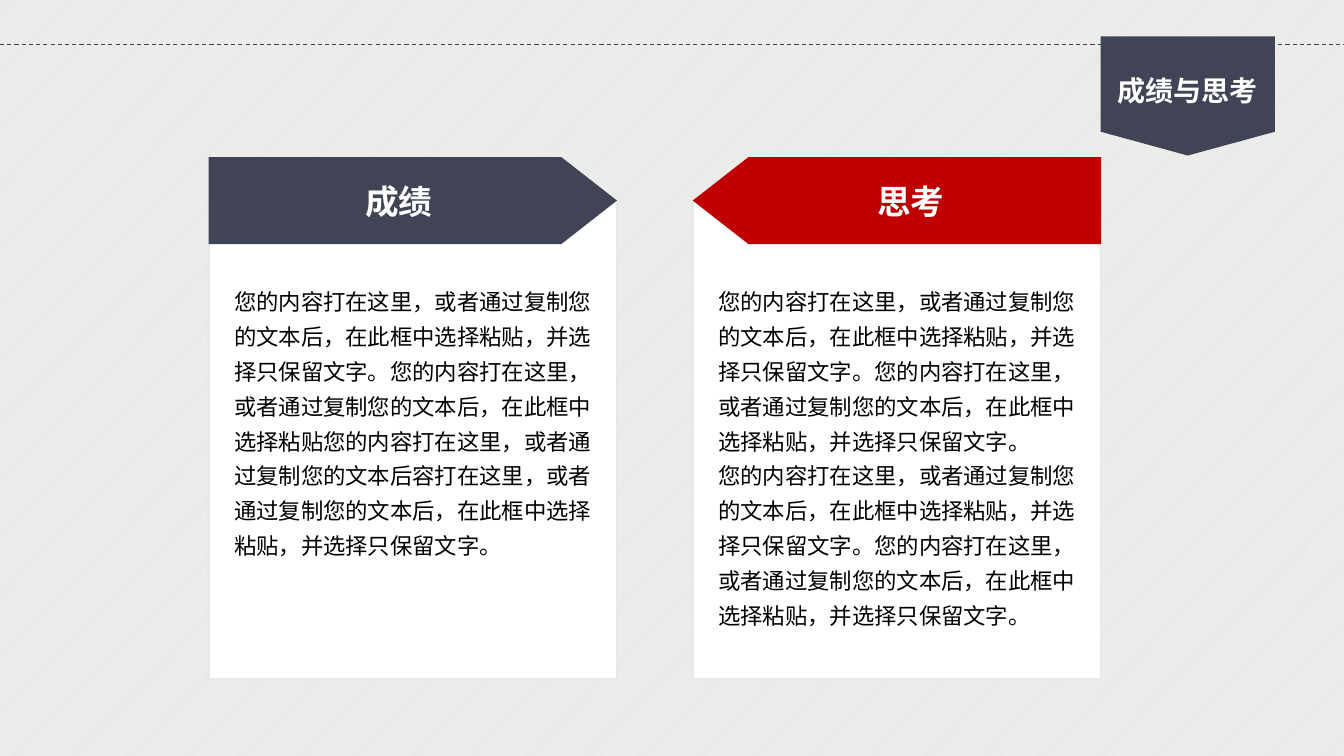
from dataclasses import dataclass
from lxml.etree import SubElement
from pptx import Presentation
from pptx.dml.color import RGBColor as RGB
from pptx.enum.dml import MSO_LINE as Dash, MSO_PATTERN as Pattern
from pptx.enum.shapes import MSO_CONNECTOR as Link, MSO_SHAPE as Shape
from pptx.enum.text import MSO_ANCHOR as Anchor, MSO_AUTO_SIZE as Fit, PP_ALIGN as Align
from pptx.oxml.ns import qn
from pptx.util import Cm, Pt


@dataclass
class Theme:
    font: str = "Noto Sans CJK SC"
    navy: RGB = RGB(0x41, 0x44, 0x55)
    red: RGB = RGB(0xC0, 0x00, 0x00)
    white: RGB = RGB(0xFF, 0xFF, 0xFF)
    black: RGB = RGB(0x00, 0x00, 0x00)
    gray: RGB = RGB(0xE8, 0xE8, 0xE6)
    title: int = 20
    head: int = 24
    body: int = 16


theme = Theme()

deck = Presentation()
deck.slide_width, deck.slide_height = Cm(33.87), Cm(19.05)
slide = deck.slides.add_slide(deck.slide_layouts[6])
shapes = slide.shapes


def add_block(kind, left, top, width, height, color):
    block = shapes.add_shape(kind, Cm(left), Cm(top), Cm(width), Cm(height))
    block.shadow.inherit = False
    block.fill.solid()
    block.fill.fore_color.rgb = color
    block.line.fill.background()
    return block


def set_text(frame, lines, size, color, bold=False, align=Align.LEFT, space=1.0):
    frame.text = "\n".join(lines)
    for para in frame.paragraphs:
        para.alignment = align
        para.line_spacing = space
        for run in para.runs:
            font = run.font
            font.name, font.size, font.bold = theme.font, Pt(size), bold
            font.color.rgb = color
            # East Asian glyphs take their own typeface
            SubElement(run._r.get_or_add_rPr(), qn("a:ea"), typeface=theme.font)


# Striped background
back = slide.background.fill
back.patterned()
back.pattern = Pattern.LIGHT_UPWARD_DIAGONAL
back.fore_color.rgb = theme.white
back.back_color.rgb = theme.gray

# Dashed rule across the top
rule = shapes.add_connector(Link.STRAIGHT, 0, Cm(1.12), deck.slide_width, Cm(1.12))
rule.line.color.rgb = theme.navy
rule.line.width = Pt(0.75)
rule.line.dash_style = Dash.DASH
SubElement(rule._element.spPr, qn("a:effectLst"))

# Title badge
add_block(Shape.FLOWCHART_OFFPAGE_CONNECTOR, 27.74, 0.92, 4.39, 3, theme.navy)
title = shapes.add_textbox(Cm(27.9), Cm(1.73), Cm(4.06), Cm(1.12)).text_frame
title.word_wrap = False
title.auto_size = Fit.SHAPE_TO_FIT_TEXT
set_text(title, ["成绩与思考"], theme.title, theme.white, True, Align.CENTER)

# Two panels: left edge, heading, colour, flipped, text height, paragraphs
note = "您的内容打在这里，或者通过复制您的文本后，在此框中选择粘贴，并选择只保留文字。"
result = (
    note + "您的内容打在这里，或者通过复制您的文本后，在此框中选择粘贴"
    "您的内容打在这里，或者通过复制您的文本后容打在这里，"
    "或者通过复制您的文本后，在此框中选择粘贴，并选择只保留文字。"
)
panels = [
    (5.26, "成绩", theme.navy, False, 7.29, [result]),
    (17.46, "思考", theme.red, True, 9.14, [note * 2] * 2),
]
for left, head, color, flip, height, lines in panels:
    card = add_block(Shape.RECTANGLE, left, 5.05, 10.29, 12.07, theme.white)
    card.line.color.rgb = theme.gray
    card.line.width = Pt(2)

    arrow = add_block(Shape.PENTAGON, left, 3.96, 10.29, 2.19, color)
    arrow.adjustments[0] = 0.64
    if flip:
        arrow._element.spPr.find(qn("a:xfrm")).set("flipH", "1")
    frame = arrow.text_frame
    frame.word_wrap = False
    frame.vertical_anchor = Anchor.MIDDLE
    set_text(frame, [head], theme.head, theme.white, True, Align.CENTER)

    body = shapes.add_textbox(Cm(left + 0.39), Cm(6.93), Cm(9.88), Cm(height)).text_frame
    body.word_wrap = True
    body.auto_size = Fit.SHAPE_TO_FIT_TEXT
    set_text(body, lines, theme.body, theme.black, space=1.3)

deck.save("out.pptx")
